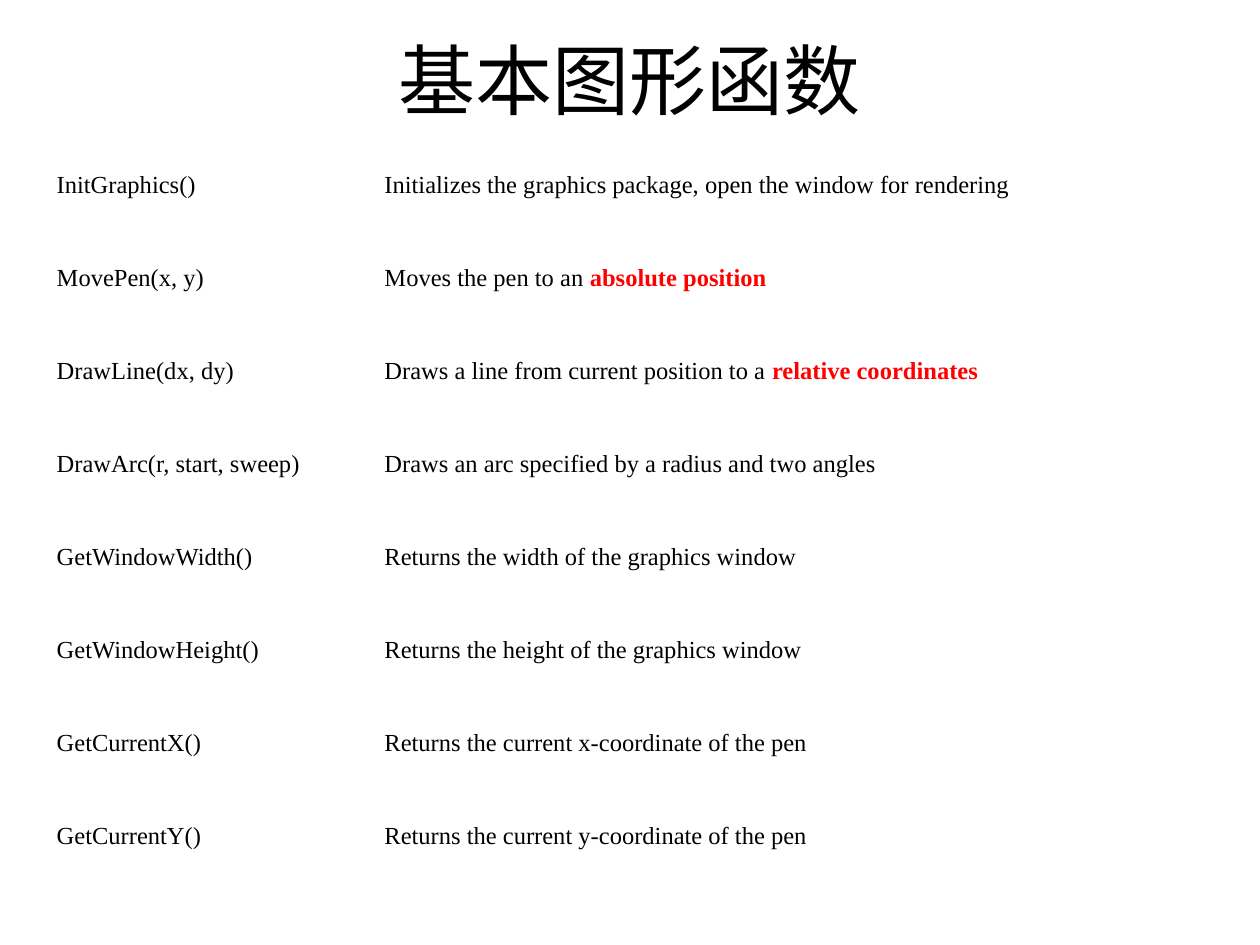
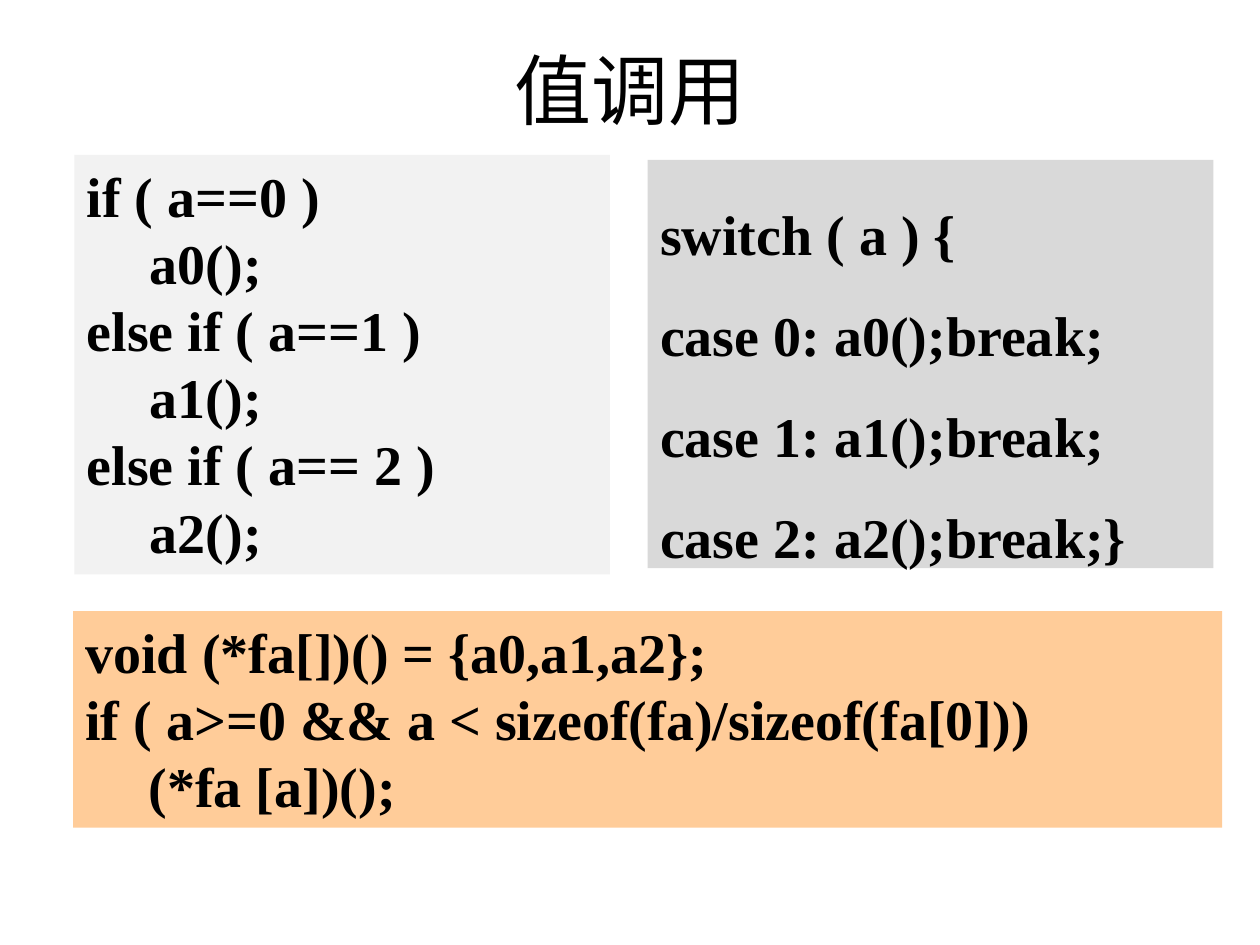
from dataclasses import dataclass

from pptx import Presentation
from pptx.dml.color import RGBColor
from pptx.enum.shapes import MSO_SHAPE
from pptx.enum.text import MSO_ANCHOR as Anchor, PP_ALIGN as Align
from pptx.util import Inches, Pt


@dataclass(frozen=True)
class Theme:
    font: str = "Times New Roman"
    ink: str = "000000"
    accent: str = "FF0000"
    if_chain: str = "F2F2F2"
    switch: str = "D9D9D9"
    pointer_table: str = "FFCC99"
    title_size: int = 44
    code_size: int = 32
    table_size: int = 14
    leading: float = 1.2


THEME = Theme()
SLIDE_WIDTH, SLIDE_HEIGHT = Inches(10), Inches(7.5)
TITLE_HEIGHT = 16.67
NAME_SHARE = 0.28

GRAPHICS_FUNCTIONS = [
    ("InitGraphics()", "Initializes the graphics package, open the window for rendering", ""),
    ("MovePen(x, y)", "Moves the pen to an ", "absolute position"),
    ("DrawLine(dx, dy)", "Draws a line from current position to a ", "relative coordinates"),
    ("DrawArc(r, start, sweep)", "Draws an arc specified by a radius and two angles", ""),
    ("GetWindowWidth()", "Returns the width of the graphics window", ""),
    ("GetWindowHeight()", "Returns the height of the graphics window", ""),
    ("GetCurrentX()", "Returns the current x-coordinate of the pen", ""),
    ("GetCurrentY()", "Returns the current y-coordinate of the pen", ""),
]

IF_CHAIN = [
    "if ( a==0 )",
    "\ta0();",
    "else if ( a==1 )",
    "\ta1();",
    "else if ( a== 2 )",
    "\ta2();",
]
SWITCH = [
    "switch ( a ) {",
    "case 0: a0();break;",
    "case 1: a1();break;",
    "case 2: a2();break;}",
]
POINTER_TABLE = [
    "void (*fa[])() = {a0,a1,a2};",
    "if ( a>=0 && a < sizeof(fa)/sizeof(fa[0]))",
    "\t(*fa [a])();",
]


def area(left, top, width, height):
    return (
        int(SLIDE_WIDTH * left / 100),
        int(SLIDE_HEIGHT * top / 100),
        int(SLIDE_WIDTH * width / 100),
        int(SLIDE_HEIGHT * height / 100),
    )


def write(paragraph, text, *, size, color=THEME.ink, bold=False, align=Align.LEFT, spacing=None):
    paragraph.alignment = align
    if spacing:
        paragraph.line_spacing = Pt(size * THEME.leading * spacing)
    run = paragraph.add_run()
    run.text = text
    run.font.name = THEME.font
    run.font.size = Pt(size)
    run.font.bold = bold
    run.font.color.rgb = RGBColor.from_string(color)


def add_titled_slide(deck, heading, top=0):
    slide = deck.slides.add_slide(deck.slide_layouts[5])
    title = slide.shapes.title
    title.left, title.top, title.width, title.height = area(0, top, 100, TITLE_HEIGHT)
    title.text_frame.vertical_anchor = Anchor.MIDDLE
    write(title.text_frame.paragraphs[0], heading, size=THEME.title_size, align=Align.CENTER)
    return slide


def add_function_table(slide, functions, place):
    table = slide.shapes.add_table(len(functions), 2, *place).table
    table.first_row = table.horz_banding = False
    width = place[2]
    table.columns[0].width = int(width * NAME_SHARE)
    table.columns[1].width = width - table.columns[0].width
    for row, (name, purpose, emphasis) in zip(table.rows, functions):
        for cell, text in zip(row.cells, (name, purpose)):
            cell.fill.background()
            write(cell.text_frame.paragraphs[0], text, size=THEME.table_size)
        if emphasis:
            write(row.cells[1].text_frame.paragraphs[0], emphasis,
                  size=THEME.table_size, color=THEME.accent, bold=True)


def add_code_panel(slide, lines, place, fill, spacing=1):
    panel = slide.shapes.add_shape(MSO_SHAPE.RECTANGLE, *place)
    panel.shadow.inherit = False
    panel.fill.solid()
    panel.fill.fore_color.rgb = RGBColor.from_string(fill)
    panel.line.fill.background()
    frame = panel.text_frame
    frame.word_wrap = True
    frame.vertical_anchor = Anchor.TOP
    for index, line in enumerate(lines):
        paragraph = frame.add_paragraph() if index else frame.paragraphs[0]
        write(paragraph, line, size=THEME.code_size, bold=True, spacing=spacing)


def main():
    deck = Presentation()
    deck.slide_width, deck.slide_height = SLIDE_WIDTH, SLIDE_HEIGHT

    graphics = add_titled_slide(deck, "基本图形函数")
    add_function_table(graphics, GRAPHICS_FUNCTIONS, area(3.5, 17.47, 92.9, 78.8))

    calls = add_titled_slide(deck, "值调用", top=1.07)
    add_code_panel(calls, IF_CHAIN, area(5.9, 16.4, 42.5, 44.4), THEME.if_chain)
    add_code_panel(calls, SWITCH, area(51.4, 16.93, 44.9, 43.2), THEME.switch, spacing=1.5)
    add_code_panel(calls, POINTER_TABLE, area(5.8, 64.67, 91.2, 22.93), THEME.pointer_table)

    deck.save("out.pptx")


if __name__ == "__main__":
    main()
